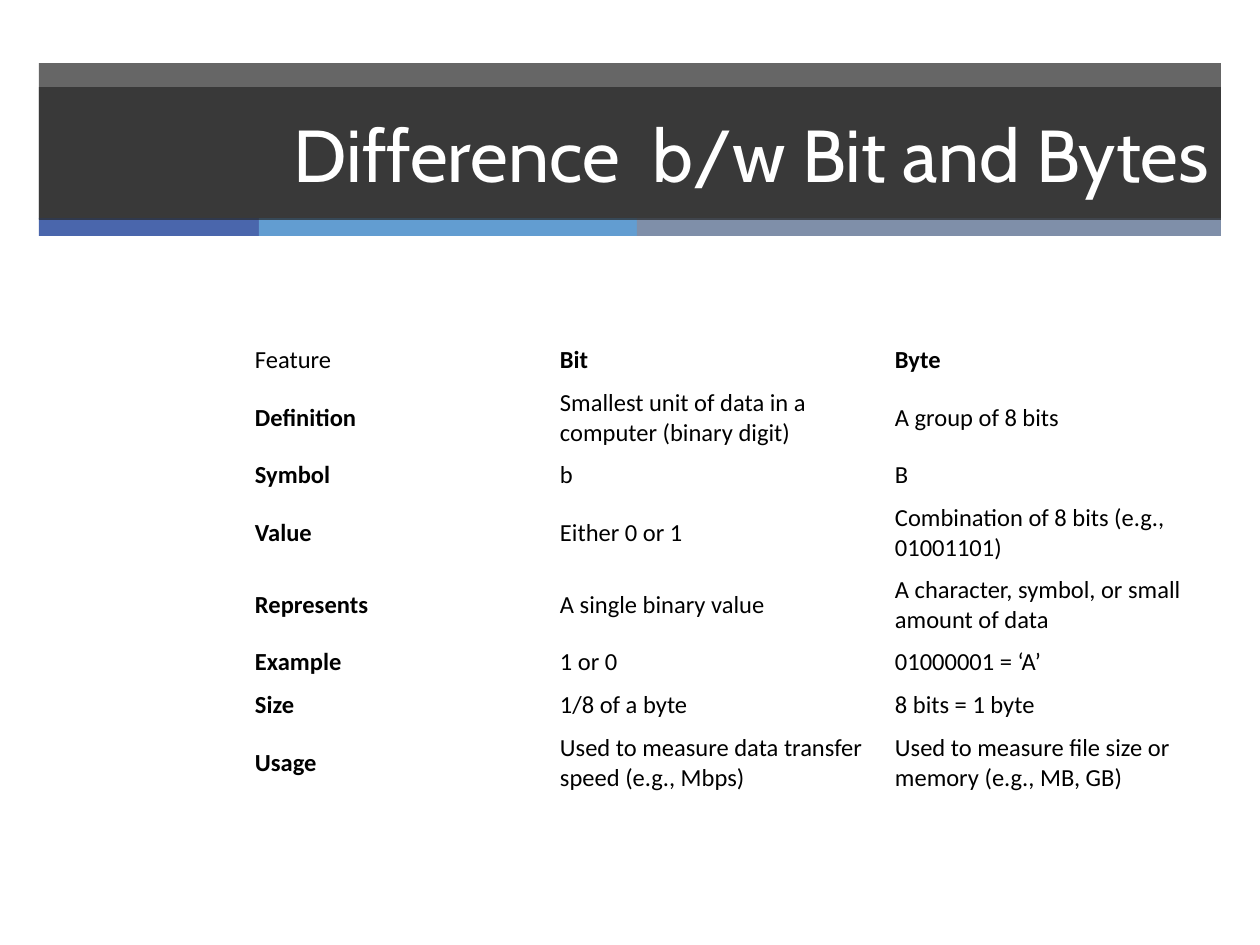
from lxml.etree import SubElement
from pptx import Presentation
from pptx.dml.color import RGBColor
from pptx.enum.shapes import MSO_SHAPE
from pptx.enum.text import MSO_ANCHOR, PP_ALIGN
from pptx.oxml.ns import qn
from pptx.util import Pt

SCALE = 914400 / 126
WHITE = RGBColor(255, 255, 255)
BLACK = RGBColor(0, 0, 0)
DARK = RGBColor(0x26, 0x26, 0x26)
BLUE = RGBColor(0x4A, 0x66, 0xAC)
SKY = RGBColor(0x62, 0x9D, 0xD1)
SLATE = RGBColor(0x7F, 0x8F, 0xA9)

LEFT, WIDTH = 39, 1182
STRIPES = [(220, BLUE), (378, SKY), (584, SLATE)]
COLS = [305, 335, 335]
LOW, HIGH = 43, 72
ROWS = [
    (LOW, "Feature", "Bit", "Byte"),
    (HIGH, "Definition", "Smallest unit of data in a computer (binary digit)",
     "A group of 8 bits"),
    (LOW, "Symbol", "b", "B"),
    (HIGH, "Value", "Either 0 or 1", "Combination of 8 bits (e.g., 01001101)"),
    (HIGH, "Represents", "A single binary value",
     "A character, symbol, or small amount of data"),
    (LOW, "Example", "1 or 0", "01000001 = ‘A’"),
    (LOW, "Size", "1/8 of a byte", "8 bits = 1 byte"),
    (HIGH, "Usage", "Used to measure data transfer speed (e.g., Mbps)",
     "Used to measure file size or memory (e.g., MB, GB)"),
]


def px(num):
    return round(num * SCALE)


def apply(item, form):
    for name, value in form.items():
        setattr(item, name, value)


class Deck:
    title = {"name": "Cabin", "size": Pt(42), "bold": False}
    body = {"name": "Calibri", "size": Pt(14)}
    pads = {"margin_left": px(9), "margin_right": px(9),
            "margin_top": px(5), "margin_bottom": px(5),
            "vertical_anchor": MSO_ANCHOR.MIDDLE}

    def __init__(self, wide, high):
        self.prs = Presentation()
        apply(self.prs, {"slide_width": px(wide), "slide_height": px(high)})
        self.slide = self.prs.slides.add_slide(self.prs.slide_layouts[6])

    def bar(self, x, y, w, h, color, alpha=100):
        """Add a borderless rectangle; alpha is its opacity in percent."""
        box = self.slide.shapes.add_shape(
            MSO_SHAPE.RECTANGLE, *map(px, (x, y, w, h)))
        box.shadow.inherit = False
        box.line.fill.background()
        box.fill.solid()
        box.fill.fore_color.rgb = color
        if alpha < 100:
            tint = box.element.spPr.find(".//" + qn("a:srgbClr"))
            SubElement(tint, qn("a:alpha"), val=str(alpha * 1000))
        return box

    def head(self, text, *area):
        frame = self.bar(*area, DARK, 70).text_frame
        apply(frame, {"word_wrap": True,
                      "vertical_anchor": MSO_ANCHOR.MIDDLE})
        para = frame.paragraphs[0]
        para.alignment = PP_ALIGN.RIGHT
        self.label(para, text, self.title, WHITE)

    def label(self, para, text, form, color):
        run = para.add_run()
        run.text = text
        apply(run.font, form)
        run.font.color.rgb = color

    def table(self, x, y, cols, rows):
        high = sum(row[0] for row in rows)
        grid = self.slide.shapes.add_table(
            len(rows), len(cols), *map(px, (x, y, sum(cols), high))).table
        apply(grid, {"first_row": False, "horz_banding": False})
        for col, wide in zip(grid.columns, cols):
            col.width = px(wide)
        for r, (tall, *texts) in enumerate(rows):
            grid.rows[r].height = px(tall)
            for c, text in enumerate(texts):
                cell = grid.cell(r, c)
                cell.fill.background()
                apply(cell, self.pads)
                # Row and column labels are bold, the corner is not
                form = {**self.body, "bold": (r == 0) != (c == 0)}
                self.label(cell.text_frame.paragraphs[0], text, form, BLACK)


def main():
    deck = Deck(1260, 945)
    deck.bar(LEFT, 63, WIDTH, 156, DARK, 70)
    x = LEFT
    for wide, color in STRIPES:
        deck.bar(x, 218, wide, 18, color)
        x += wide
    deck.head("Difference  b/w Bit and Bytes", LEFT, 87, WIDTH, 133)
    deck.table(246, 339, COLS, ROWS)
    deck.prs.save("out.pptx")


if __name__ == "__main__":
    main()
